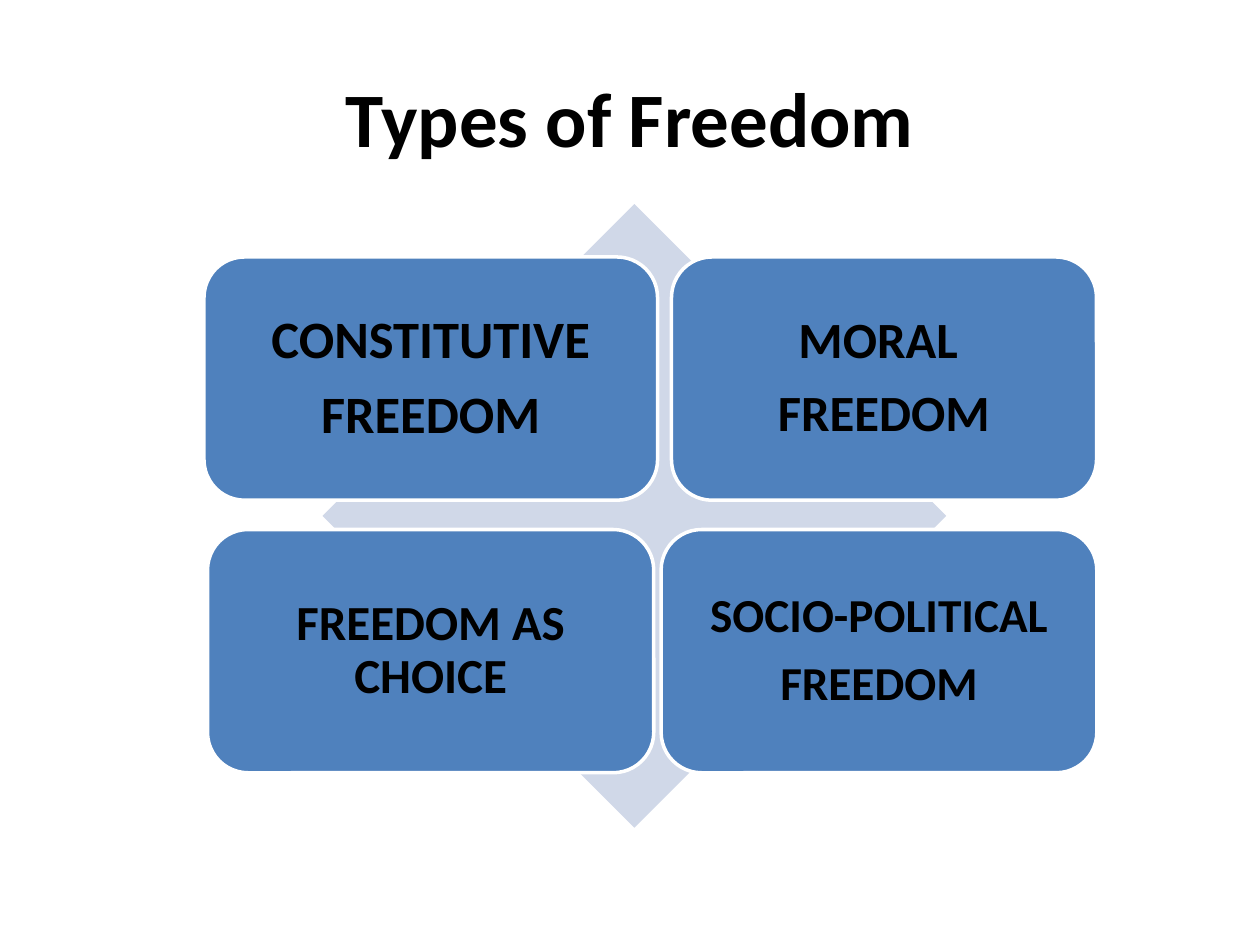
import pptx
import pptx.dml.color
import pptx.enum.shapes
import pptx.enum.text
import pptx.util

Pt = pptx.util.Pt
SHAPES = pptx.enum.shapes.MSO_SHAPE
BLACK = pptx.dml.color.RGBColor(0x00, 0x00, 0x00)
WHITE = pptx.dml.color.RGBColor(0xFF, 0xFF, 0xFF)
BLUE = pptx.dml.color.RGBColor(0x4F, 0x81, 0xBD)
PALE_BLUE = pptx.dml.color.RGBColor(0xD0, 0xD8, 0xE8)

CARD_HEIGHT = 139
TOP_ROW, BOTTOM_ROW = 24.25 + 6, 186
CARDS = [
    (-67.7, TOP_ROW, 259.2, 30, ["CONSTITUTIVE", "FREEDOM"]),
    (199.4, TOP_ROW, 242.9, 29, ["MORAL ", "FREEDOM"]),
    (-65.7, BOTTOM_ROW, 255, 28, ["FREEDOM AS CHOICE"]),
    (193.5, BOTTOM_ROW, 249, 27, ["SOCIO-POLITICAL", "FREEDOM"]),
]


def write_text(shape, lines, size):
    """Write centred bold black lines into a shape."""
    frame = shape.text_frame
    frame.word_wrap = True
    frame.vertical_anchor = pptx.enum.text.MSO_ANCHOR.MIDDLE
    frame.text = "\n".join(lines)
    for paragraph in frame.paragraphs:
        paragraph.alignment = pptx.enum.text.PP_ALIGN.CENTER
        for run in paragraph.runs:
            run.font.name = "Calibri"
            run.font.size = Pt(size)
            run.font.bold = True
            run.font.color.rgb = BLACK


def add_title(slide, left, top, width, height):
    """Place the slide title in its box."""
    title = slide.shapes.title
    title.left, title.top = Pt(left), Pt(top)
    title.width, title.height = Pt(width), Pt(height)
    write_text(title, ["Types of Freedom"], 44)


def add_card(slide, left, top, width, height, size, lines):
    """Add one rounded card with its label."""
    card = slide.shapes.add_shape(
        SHAPES.ROUNDED_RECTANGLE, Pt(left), Pt(top), Pt(width), Pt(height))
    card.shadow.inherit = False
    card.fill.solid()
    card.fill.fore_color.rgb = BLUE
    card.line.color.rgb = WHITE
    card.line.width = Pt(2)
    write_text(card, lines, size)
    frame = card.text_frame
    frame.margin_left = frame.margin_right = Pt(0.3 * size)
    frame.margin_top = frame.margin_bottom = Pt(0.3 * size)
    for paragraph in frame.paragraphs:
        paragraph.line_spacing = 0.9
        paragraph.space_after = Pt(0.35 * size)


def add_matrix(slide, left, top, side):
    """Add the diamond and the four cards laid over it."""
    diamond = slide.shapes.add_shape(
        SHAPES.DIAMOND, Pt(left), Pt(top), Pt(side), Pt(side))
    diamond.shadow.inherit = False
    diamond.fill.solid()
    diamond.fill.fore_color.rgb = PALE_BLUE
    diamond.line.fill.background()
    for card_left, card_top, width, size, lines in CARDS:
        add_card(slide, left + card_left, top + card_top, width, CARD_HEIGHT,
                 size, lines)


def main():
    """Build and save the presentation."""
    presentation = pptx.Presentation()
    presentation.slide_width, presentation.slide_height = Pt(720), Pt(540)
    slide = presentation.slides.add_slide(presentation.slide_layouts[5])
    add_matrix(slide, 184.3, 116.6, 356.4)
    add_title(slide, 36, 21.6, 648, 90)
    presentation.save("out.pptx")


main()
